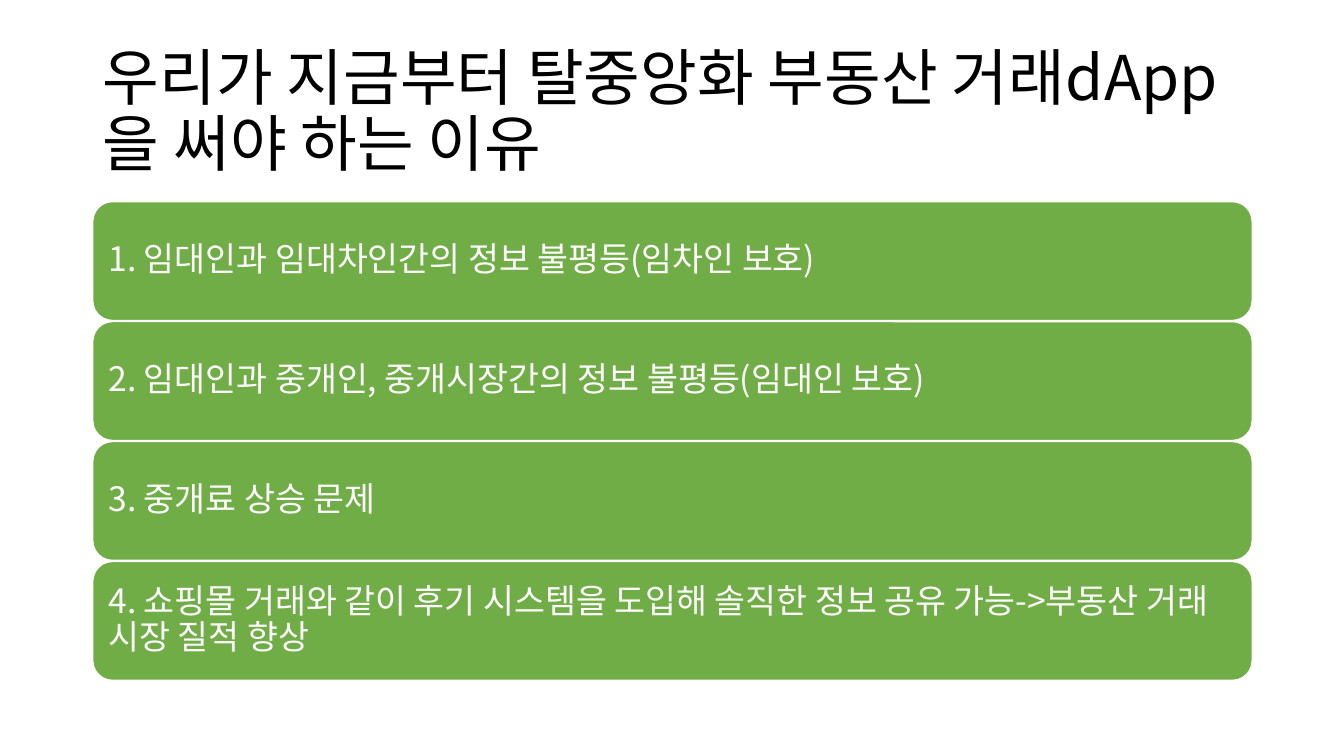
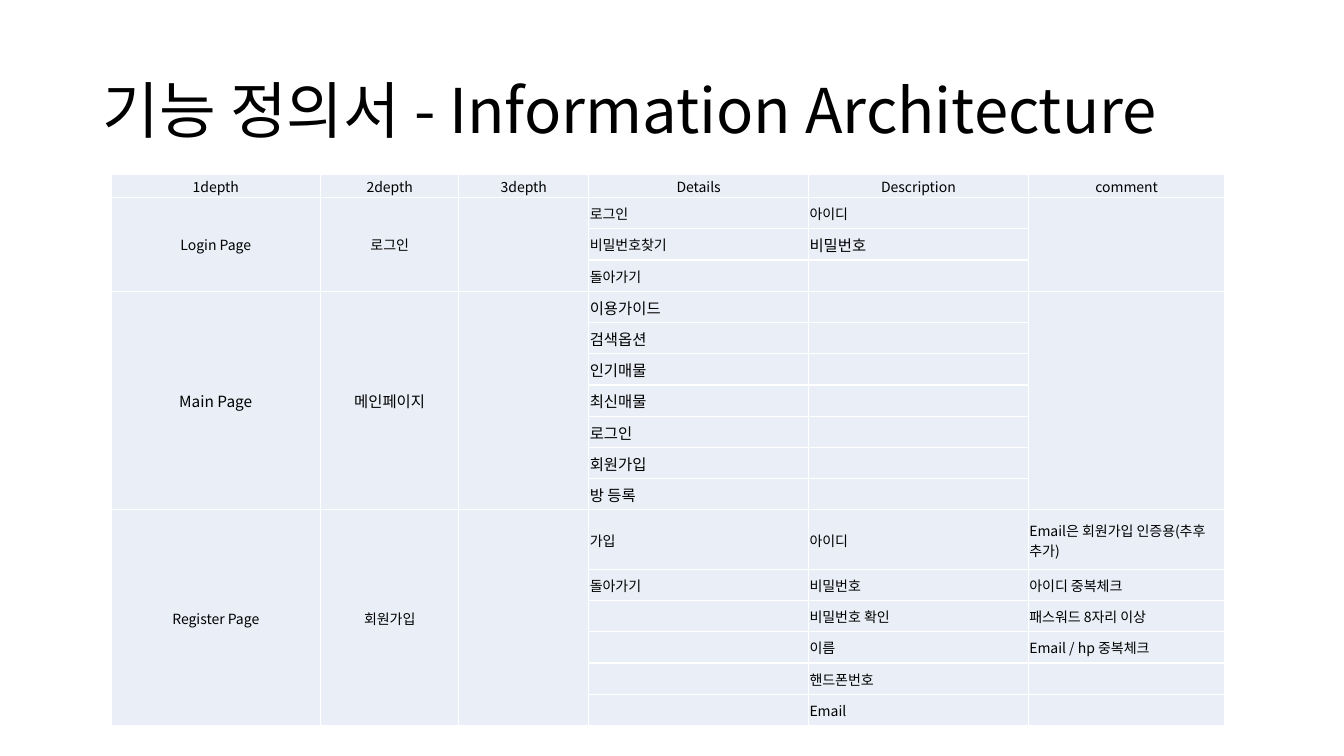
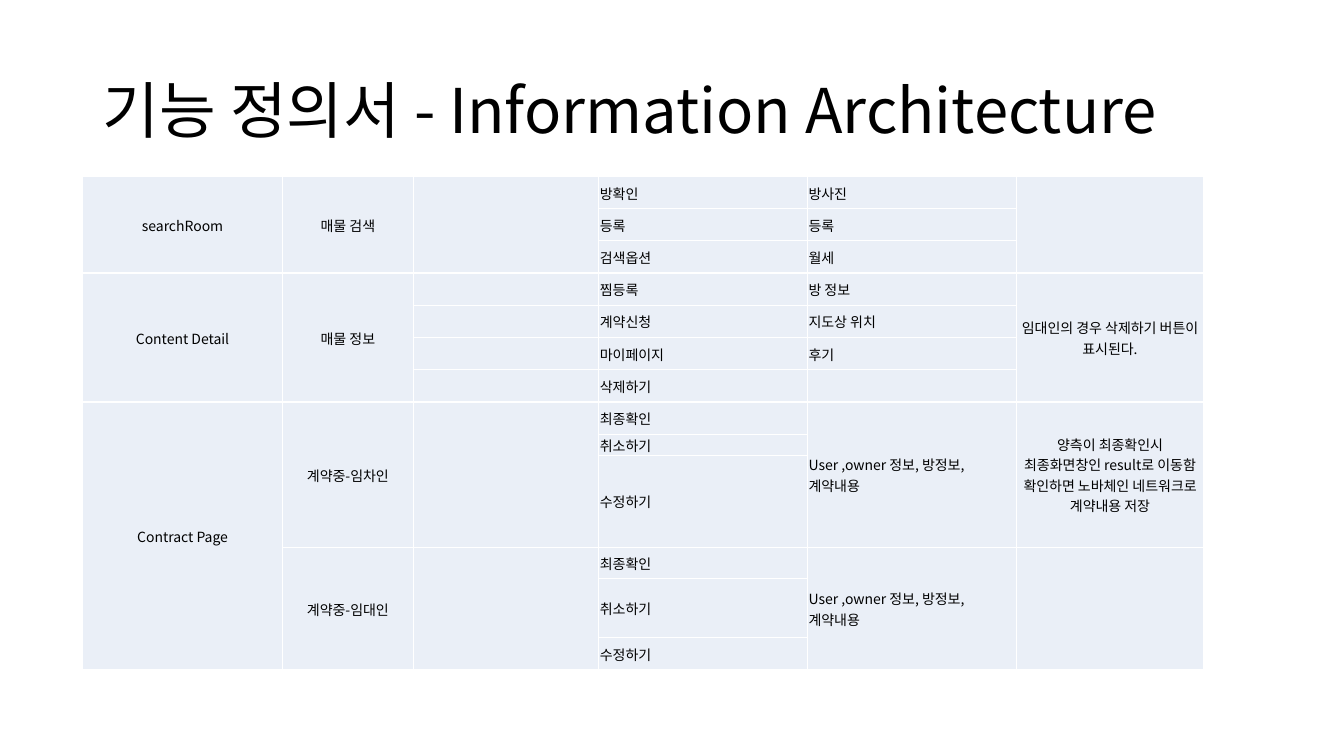
from lxml import etree
from pptx import Presentation
from pptx.dml.color import RGBColor
from pptx.enum.shapes import MSO_SHAPE
from pptx.enum.text import MSO_ANCHOR, MSO_AUTO_SIZE, PP_ALIGN
from pptx.oxml.ns import qn
from pptx.util import Inches, Pt

ROUNDED = MSO_SHAPE.ROUNDED_RECTANGLE
MIDDLE = MSO_ANCHOR.MIDDLE
NO_FIT = MSO_AUTO_SIZE.NONE
LEFT, CENTER = PP_ALIGN.LEFT, PP_ALIGN.CENTER

COLORS = {"text": "000000", "white": "FFFFFF", "bar": "70AD47", "cell": "EAEFF7"}
FONT = "Noto Sans CJK KR"
MARGIN, CONTENT_WIDTH = 0.92, 11.5


def style_text(frame, size, color, align=LEFT, line_spacing=1.0):
    frame.word_wrap = True
    for para in frame.paragraphs:
        para.alignment = align
        para.line_spacing = line_spacing
        for span in para.runs:
            span.font.size = Pt(size)
            span.font.name = FONT
            span.font.color.rgb = RGBColor.from_string(COLORS[color])
            east_asian = etree.SubElement(span.font._element, qn("a:ea"))
            east_asian.set("typeface", FONT)
        if not para.runs:
            ending = etree.SubElement(para._p, qn("a:endParaRPr"))
            ending.set("sz", str(size * 100))


def style_cell(cell):
    cell.vertical_anchor = MIDDLE
    cell.margin_left = cell.margin_right = cell.margin_top = Inches(0.01)
    cell.margin_bottom = 0
    cell.fill.solid()
    cell.fill.fore_color.rgb = RGBColor.from_string(COLORS["cell"])
    properties = cell._tc.get_or_add_tcPr()
    for position, side in enumerate(("lnL", "lnR", "lnT", "lnB")):
        border = etree.Element(qn(f"a:{side}"), w=str(Pt(1)))
        paint = etree.SubElement(border, qn("a:solidFill"))
        etree.SubElement(paint, qn("a:srgbClr"), val=COLORS["white"])
        properties.insert(position, border)


deck = Presentation()
deck.slide_width, deck.slide_height = Inches(13.33), Inches(7.5)
layout = deck.slide_layouts[5]

architecture_title = "기능 정의서 - Information Architecture"
titles = ["우리가 지금부터 탈중앙화 부동산 거래dApp을 써야 하는 이유",
          architecture_title, architecture_title]
pages = []
for text in titles:
    page = deck.slides.add_slide(layout)
    title = page.shapes.title
    title.left, title.top = Inches(MARGIN), Inches(0.4)
    title.width, title.height = Inches(CONTENT_WIDTH), Inches(1.45)
    frame = title.text_frame
    frame.text = text
    frame.auto_size = NO_FIT
    frame.vertical_anchor = MIDDLE
    style_text(frame, 44, "text", line_spacing=0.9)
    pages.append(page)

reasons = [
    "1. 임대인과 임대차인간의 정보 불평등(임차인 보호)",
    "2. 임대인과 중개인, 중개시장간의 정보 불평등(임대인 보호)",
    "3. 중개료 상승 문제",
    "4. 쇼핑몰 거래와 같이 후기 시스템을 도입해 솔직한 정보 공유 가능->부동산 거래 시장 질적 향상",
]
bar_top, bar_height, bar_gap = 2, 1.18, 0.01
for index, reason in enumerate(reasons):
    top = bar_top + index * (bar_height + bar_gap)
    bar = pages[0].shapes.add_shape(ROUNDED, Inches(MARGIN), Inches(top),
                                    Inches(CONTENT_WIDTH), Inches(bar_height))
    bar.shadow.inherit = False
    bar.fill.solid()
    bar.fill.fore_color.rgb = RGBColor.from_string(COLORS["bar"])
    bar.line.color.rgb = RGBColor.from_string(COLORS["white"])
    bar.line.width = Pt(1)
    bar.text_frame.text = reason
    bar.text_frame.vertical_anchor = MIDDLE
    style_text(bar.text_frame, 24, "white", line_spacing=0.9)

UP = None
account_rows = [
    ["1depth", "2depth", "3depth", "Details", "Description", "comment"],
    ["Login Page", "로그인", "", "로그인", "아이디", ""],
    [UP, UP, UP, "비밀번호찾기", "비밀번호", UP],
    [UP, UP, UP, "돌아가기", "", UP],
    ["Main Page", "메인페이지", "", "이용가이드", "", ""],
    [UP, UP, UP, "검색옵션", "", UP],
    [UP, UP, UP, "인기매물", "", UP],
    [UP, UP, UP, "최신매물", "", UP],
    [UP, UP, UP, "로그인", "", UP],
    [UP, UP, UP, "회원가입", "", UP],
    [UP, UP, UP, "방 등록", "", UP],
    ["Register Page", "회원가입", "", "가입", "아이디", "Email은 회원가입 인증용(추후 추가)"],
    [UP, UP, UP, "돌아가기", "비밀번호", "아이디 중복체크"],
    [UP, UP, UP, "", "비밀번호 확인", "패스워드 8자리 이상"],
    [UP, UP, UP, "", "이름", "Email / hp 중복체크"],
    [UP, UP, UP, "", "핸드폰번호", ""],
    [UP, UP, UP, "", "Email", ""],
]
contract_fields = "User ,owner 정보, 방정보, 계약내용"
contract_note = "양측이 최종확인시\n최종화면창인 result로 이동함\n확인하면 노바체인 네트워크로 계약내용 저장"
room_rows = [
    ["searchRoom", "매물 검색", "", "방확인", "방사진", ""],
    [UP, UP, UP, "등록", "등록", UP],
    [UP, UP, UP, "검색옵션", "월세", UP],
    ["Content Detail", "매물 정보", "", "찜등록", "방 정보", "임대인의 경우 삭제하기 버튼이 표시된다."],
    [UP, UP, "", "계약신청", "지도상 위치", UP],
    [UP, UP, "", "마이페이지", "후기", UP],
    [UP, UP, "", "삭제하기", "", UP],
    ["Contract Page", "계약중-임차인", "", "최종확인", contract_fields, contract_note],
    [UP, UP, UP, "취소하기", UP, UP],
    [UP, UP, UP, "수정하기", UP, UP],
    [UP, "계약중-임대인", "", "최종확인", contract_fields, ""],
    [UP, UP, UP, "취소하기", UP, UP],
    [UP, UP, UP, "수정하기", UP, UP],
]
main_page_cells = {(row, column) for row in range(4, 11) for column in range(6)}
tables = [
    {"page": pages[1], "rows": account_rows, "left": 1.1, "top": 1.73,
     "widths": [2.08, 1.37, 1.29, 2.18, 2.18, 1.95],
     "heights": [0.23] + [0.31] * 10 + [0.59] + [0.31] * 5,
     "centered_columns": {0, 1}, "header_rows": 1, "large": main_page_cells | {(2, 4)}},
    {"page": pages[2], "rows": room_rows, "left": 0.82, "top": 1.75,
     "widths": [1.98, 1.3, 1.84, 2.07, 2.07, 1.86],
     "heights": [0.32] * 8 + [0.2, 0.91, 0.31, 0.59, 0.32],
     "centered_columns": {0, 1, 5}, "header_rows": 0, "large": set()},
]
for item in tables:
    rows, widths, heights = item["rows"], item["widths"], item["heights"]
    table = item["page"].shapes.add_table(
        len(rows), len(widths), Inches(item["left"]), Inches(item["top"]),
        Inches(sum(widths)), Inches(sum(heights))).table
    table.first_row = table.horz_banding = False
    for column, width in enumerate(widths):
        table.columns[column].width = Inches(width)
    for row, height in enumerate(heights):
        table.rows[row].height = Inches(height)
    for row, texts in enumerate(rows):
        for column, text in enumerate(texts):
            cell = table.cell(row, column)
            cell.text_frame.text = text or ""
            style_cell(cell)
            centered = row < item["header_rows"] or column in item["centered_columns"]
            size = 11 if (row, column) in item["large"] else 10
            style_text(cell.text_frame, size, "text", CENTER if centered else LEFT)
    for column in range(len(widths)):
        starts = [row for row in range(len(rows)) if rows[row][column] is not UP]
        for start, following in zip(starts, starts[1:] + [len(rows)]):
            if following - start > 1:
                table.cell(start, column).merge(table.cell(following - 1, column))

deck.save("out.pptx")
